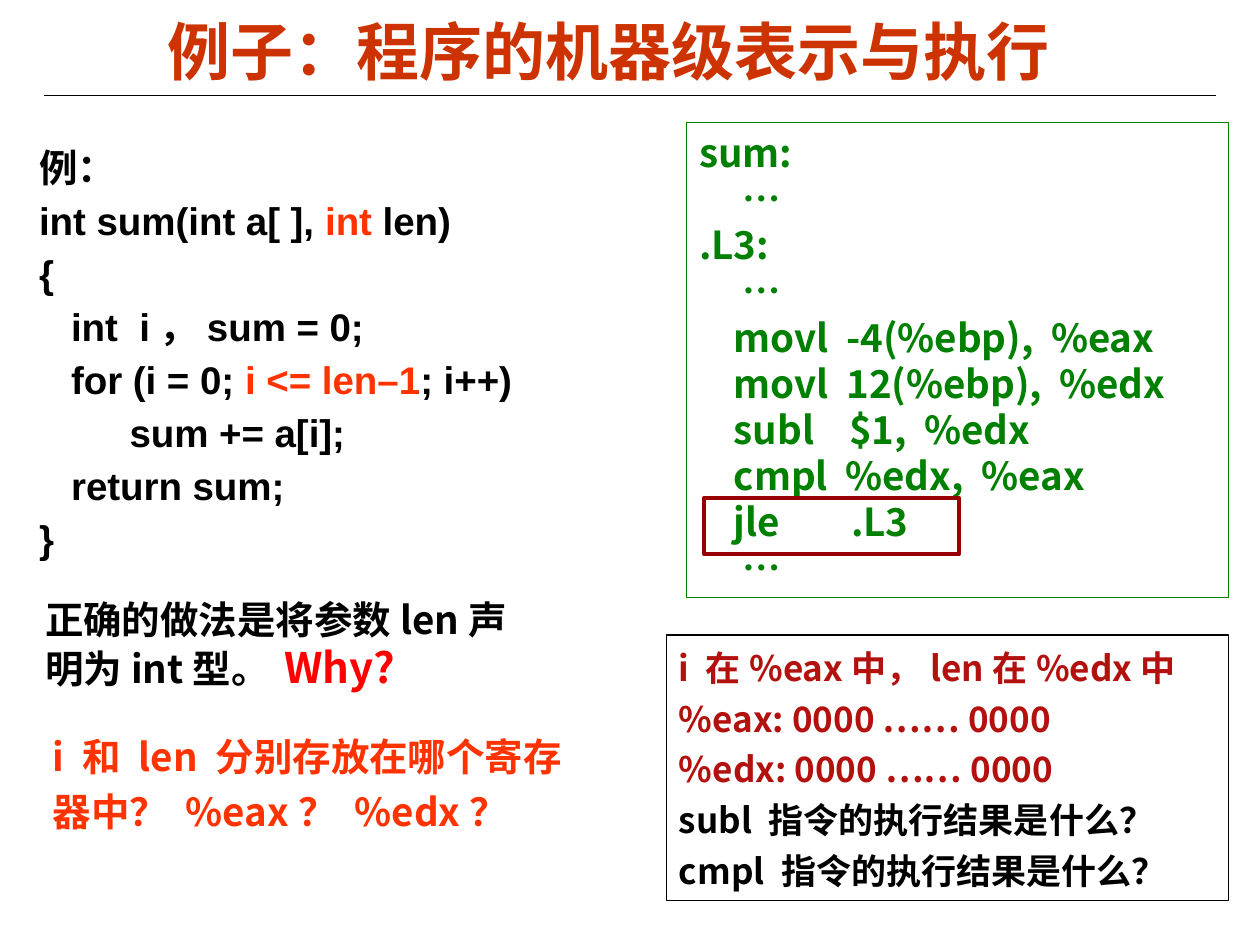
from lxml import etree
from pptx import Presentation, util as u
from pptx.dml.color import RGBColor
from pptx.enum import shapes, text
from pptx.oxml.ns import qn

WIDTH, HEIGHT = 10, 7.5
LATIN, HAN = "Arial", "Noto Sans CJK SC"
BLACK = RGBColor(0, 0, 0)
WHITE = RGBColor(255, 255, 255)
RUST = RGBColor(0xCC, 0x33, 0x00)
ORANGE = RGBColor(0xFF, 0x33, 0x00)
RED = RGBColor(0xFF, 0x00, 0x00)
GREEN = RGBColor(0x00, 0x80, 0x00)
CRIMSON = RGBColor(0xB3, 0x11, 0x0D)
MAROON = RGBColor(0x99, 0x00, 0x00)

SOURCE_CODE = [
    [("例：", BLACK, 22, HAN)],
    [("int sum(int a[ ], ", BLACK), ("int", ORANGE), (" len)", BLACK)],
    [("{", BLACK)],
    [("   int  i，sum = 0;", BLACK)],
    [("   for (i = 0; ", BLACK), ("i <= len–1", ORANGE), ("; i++)", BLACK)],
    [("\t    sum += a[i];", BLACK)],
    [("   return sum;", BLACK)],
    [("}", BLACK)],
]
ASSEMBLY = [
    "sum:",
    "     …",
    ".L3:",
    "     …",
    "    movl  -4(%ebp),  %eax",
    "    movl  12(%ebp),  %edx",
    "    subl    $1,  %edx",
    "    cmpl  %edx,  %eax",
    "    jle\t   .L3",
    "     …",
]
REGISTERS = [
    ("i 在%eax中，len在%edx中", CRIMSON),
    ("%eax: 0000 …… 0000", CRIMSON),
    ("%edx: 0000 …… 0000", CRIMSON),
    ("subl 指令的执行结果是什么？", BLACK),
    ("cmpl 指令的执行结果是什么？", BLACK),
]


def place(area):
    return [u.Inches(length) for length in area]


def add_span(para, words, color, size=22, face=LATIN):
    span = para.add_run()
    span.text = words
    span.font.size = u.Pt(size)
    span.font.bold = True
    span.font.name = face
    span.font.color.rgb = color
    east = etree.Element(qn("a:ea"), typeface=HAN)
    span.font._element.find(qn("a:latin")).addnext(east)


def write(box, lines, pitch=None, anchor=text.MSO_ANCHOR.MIDDLE,
          align=text.PP_ALIGN.LEFT, hanging=0):
    frame = box.text_frame
    frame.word_wrap = True
    frame.vertical_anchor = anchor
    for index, spans in enumerate(lines):
        para = frame.add_paragraph() if index else frame.paragraphs[0]
        para.alignment = align
        if pitch:
            para.line_spacing = u.Pt(pitch)
        if hanging:
            props = para._p.get_or_add_pPr()
            props.set("marL", str(u.Inches(hanging)))
            props.set("indent", str(-u.Inches(hanging)))
        for span in spans:
            add_span(para, *span)


def add_text(page, area, lines, **style):
    box = page.shapes.add_textbox(*place(area))
    write(box, lines, **style)
    return box


def add_frame(page, area, color, weight=0.75, fill=None):
    box = page.shapes.add_shape(shapes.MSO_SHAPE.RECTANGLE, *place(area))
    box.shadow.inherit = False
    box.line.color.rgb = color
    box.line.width = u.Pt(weight)
    if fill is None:
        box.fill.background()
    else:
        box.fill.solid()
        box.fill.fore_color.rgb = fill
    return box


def add_rule(page, margin, top):
    rule = page.shapes.add_connector(
        shapes.MSO_CONNECTOR.STRAIGHT,
        *place((margin, top, WIDTH - margin, top)))
    rule.line.color.rgb = BLACK
    rule.line.width = u.Pt(0.75)
    etree.SubElement(rule._element.spPr, qn("a:effectLst"))


def add_source_code(page):
    box = add_text(page, (0.24, 1.06, 4.96, 3.43), SOURCE_CODE, pitch=30.3,
                   anchor=text.MSO_ANCHOR.TOP, hanging=0.38)
    frame = box.text_frame
    frame.margin_left = frame.margin_right = u.Inches(0.07)
    frame.margin_top = frame.margin_bottom = u.Inches(0.03)


def add_panels(page):
    assembly = add_frame(page, (5.45, 0.97, 4.3, 3.77), GREEN)
    write(assembly, [[(line, GREEN, 22, HAN)] for line in ASSEMBLY], pitch=26.4)
    registers = add_frame(page, (5.29, 5.04, 4.46, 2.11), BLACK, fill=WHITE)
    write(registers, [[(line, color, 20, HAN)] for line, color in REGISTERS],
          pitch=29, anchor=text.MSO_ANCHOR.TOP)
    registers.text_frame.margin_top = u.Inches(0.02)


def main():
    deck = Presentation()
    deck.slide_width, deck.slide_height = place((WIDTH, HEIGHT))
    page = deck.slides.add_slide(deck.slide_layouts[6])
    add_rule(page, 0.35, 0.76)
    add_text(page, (0.33, 0.11, 9, 0.58),
             [[("例子：程序的机器级表示与执行", RUST, 36)]],
             align=text.PP_ALIGN.CENTER)
    add_text(page, (0.26, 4.66, 4.14, 0.87),
             [[("将参数len声明为int型。".join(("正确的做法是", "")), BLACK, 22, HAN),
               (" ", BLACK, 18), ("Why?", RED, 24, HAN)]], pitch=28.8)
    add_source_code(page)
    add_panels(page)
    add_text(page, (0.32, 5.69, 4.41, 0.98),
             [[("i 和 len 分别存放在哪个寄存器中？ %eax？ %edx？", ORANGE, 22, HAN)]],
             pitch=31.7)
    add_frame(page, (5.59, 3.95, 2.02, 0.45), MAROON, weight=2.25)
    deck.save("out.pptx")


if __name__ == "__main__":
    main()
